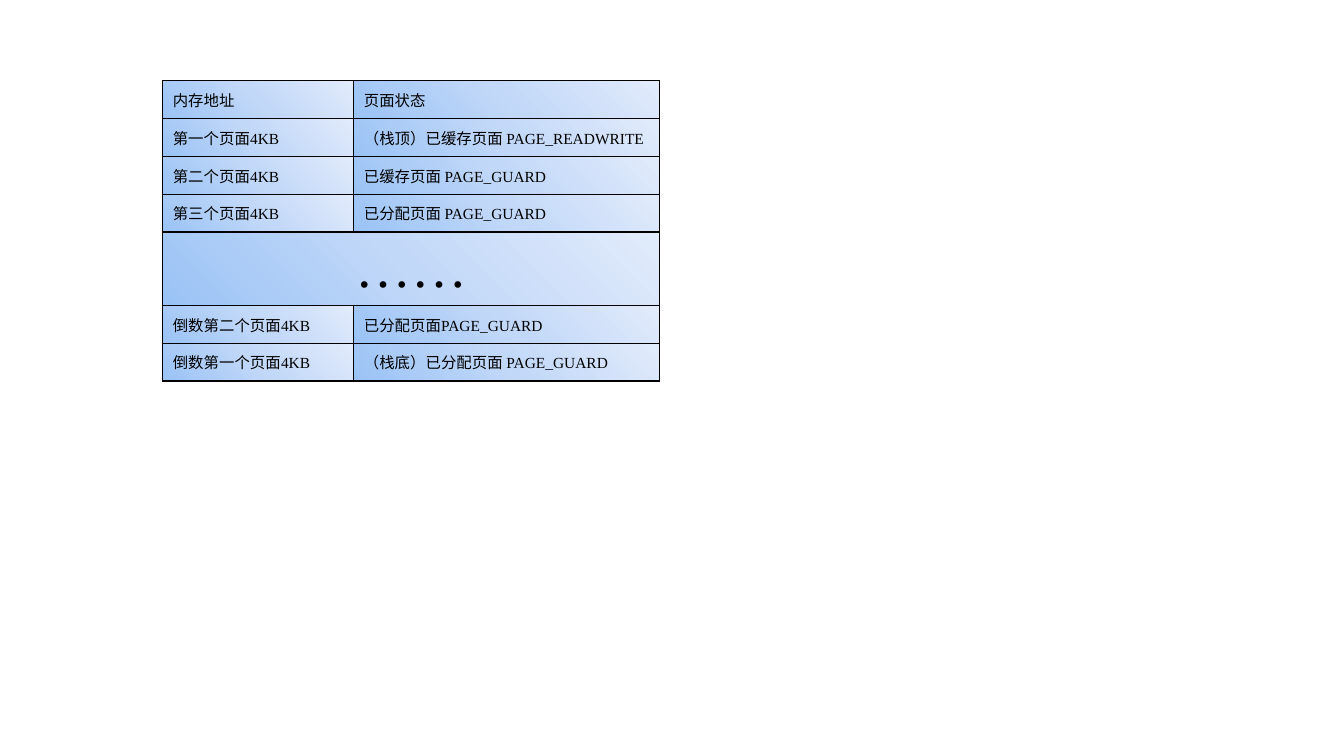
from dataclasses import dataclass

from lxml import etree
from pptx import Presentation
from pptx.dml.color import RGBColor
from pptx.enum.lang import MSO_LANGUAGE_ID
from pptx.enum.text import MSO_ANCHOR, PP_ALIGN
from pptx.oxml.ns import qn
from pptx.table import Table, _Cell
from pptx.util import Emu, Pt

LEFT, CENTER = PP_ALIGN.LEFT, PP_ALIGN.CENTER
MIDDLE = MSO_ANCHOR.MIDDLE
CHINESE = MSO_LANGUAGE_ID.SIMPLIFIED_CHINESE
SCALE = 9525  # EMU in one px, 96 px to the inch
FONT = "Times New Roman"
COLORS = {"ink": "000000", "deep": "9AC3F5", "mid": "C2D8F8", "pale": "E1EBFB"}
STOPS = ((0, "deep"), (50, "mid"), (100, "pale"))
ANGLE = 315
COLS = (182, 291)


@dataclass(frozen=True)
class Row:
    cells: tuple[str, ...]  # a single text spans all columns
    height: int = 36
    size: int = 11
    align: PP_ALIGN = LEFT


ROWS = (
    Row(("内存地址", "页面状态")),
    Row(("第一个页面4KB", "（栈顶）已缓存页面 PAGE_READWRITE")),
    Row(("第二个页面4KB", "已缓存页面 PAGE_GUARD")),
    Row(("第三个页面4KB", "已分配页面 PAGE_GUARD")),
    Row(("……",), height=70, size=40, align=CENTER),
    Row(("倒数第二个页面4KB", "已分配页面PAGE_GUARD")),
    Row(("倒数第一个页面4KB", "（栈底）已分配页面 PAGE_GUARD")),
)


def px(n: int) -> Emu:
    return Emu(n * SCALE)


def add(parent: etree._Element, tag: str, **attrs: str) -> etree._Element:
    return etree.SubElement(parent, qn(tag), attrs)


def style(cell: _Cell) -> None:
    """Give the cell thin black borders and the blue gradient."""
    props = cell._tc.get_or_add_tcPr()
    for side in ("a:lnL", "a:lnR", "a:lnT", "a:lnB"):
        line = add(props, side, w=str(Pt(1)))
        add(add(line, "a:solidFill"), "a:srgbClr", val=COLORS["ink"])
    grad = add(props, "a:gradFill", rotWithShape="1")
    stops = add(grad, "a:gsLst")
    for pos, name in STOPS:
        stop = add(stops, "a:gs", pos=str(pos * 1000))
        add(stop, "a:srgbClr", val=COLORS[name])
    add(grad, "a:lin", ang=str(ANGLE * 60000), scaled="0")


def write(cell: _Cell, text: str, *, size: int, align: PP_ALIGN) -> None:
    cell.vertical_anchor = MIDDLE
    para = cell.text_frame.paragraphs[0]
    para.alignment = align
    run = para.add_run()
    run.text = text
    font = run.font
    font.name = FONT
    font.size = Pt(size)
    font.bold = False
    font.color.rgb = RGBColor.from_string(COLORS["ink"])
    font.language_id = CHINESE


def fill(table: Table) -> None:
    for col, width in zip(table.columns, COLS):
        col.width = px(width)
    for i, row in enumerate(ROWS):
        table.rows[i].height = px(row.height)
        for j in range(len(COLS)):
            style(table.cell(i, j))
        if len(row.cells) == 1:
            table.cell(i, 0).merge(table.cell(i, len(COLS) - 1))
        for j, text in enumerate(row.cells):
            write(table.cell(i, j), text, size=row.size, align=row.align)


def main() -> None:
    deck = Presentation()
    deck.slide_width, deck.slide_height = px(1280), px(720)
    slide = deck.slides.add_slide(deck.slide_layouts[6])
    high = sum(row.height for row in ROWS)
    frame = slide.shapes.add_table(
        len(ROWS), len(COLS), px(155), px(77), px(sum(COLS)), px(high)
    )
    table = frame.table
    table.first_row = table.horz_banding = False
    fill(table)
    deck.save("out.pptx")


if __name__ == "__main__":
    main()
